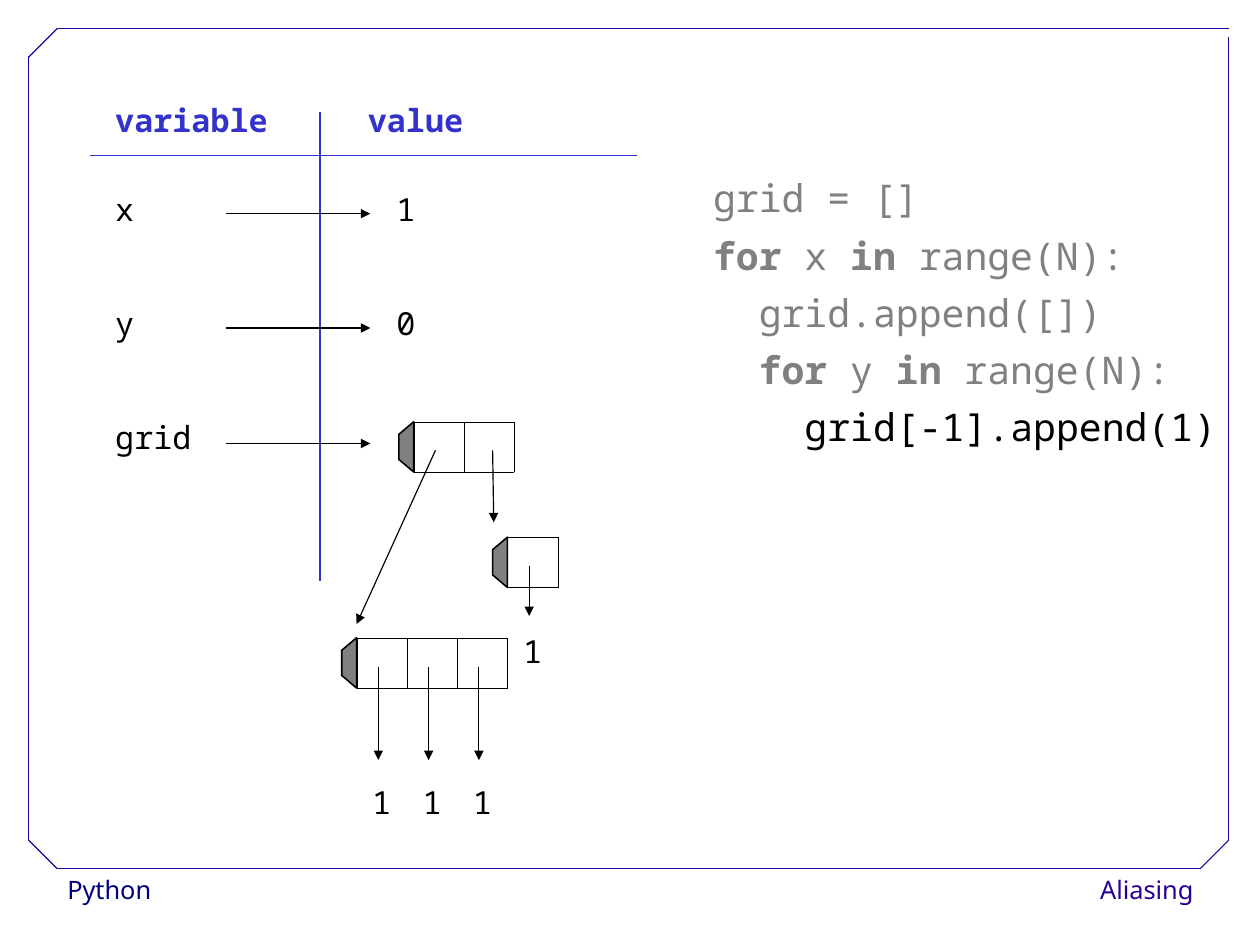
from lxml import etree
from pptx import Presentation
from pptx.dml.color import RGBColor
from pptx.enum.shapes import MSO_CONNECTOR
from pptx.enum.text import MSO_ANCHOR, PP_ALIGN
from pptx.oxml.ns import qn
from pptx.util import Cm, Inches, Pt

BLACK = RGBColor(0x00, 0x00, 0x00)
GRAY = RGBColor(0x80, 0x80, 0x80)
NAVY = RGBColor(0x00, 0x00, 0x80)
INDIGO = RGBColor(0x28, 0x00, 0x99)
BLUE = RGBColor(0x33, 0x33, 0xCC)

CELL = 0.44
TAB = 0.13


class Diagram:
    sans = "Noto Sans"
    mono = "Noto Sans Mono"

    def __init__(self, slide):
        self.s = slide

    def add_run(self, p, text, size, color, bold=False, font=mono):
        r = p.add_run()
        r.text = text
        r.font.name = font
        r.font.size = Pt(size)
        r.font.bold = bold
        r.font.color.rgb = color

    def text(self, left, top, width, height, lines, size=20, font=mono,
             leading=1.2, gap=0, align=PP_ALIGN.LEFT):
        sp = self.s.shapes.add_textbox(
            Inches(left), Inches(top), Inches(width), Inches(height))
        tf = sp.text_frame
        tf.word_wrap = True
        for i, runs in enumerate(lines):
            p = tf.paragraphs[0] if i == 0 else tf.add_paragraph()
            p.alignment = align
            p.line_spacing = Pt(size * leading)
            if i and gap:
                p.space_before = Pt(gap)
            for text, color, bold in runs:
                self.add_run(p, text, size, color, bold, font)

    def line(self, x1, y1, x2, y2, color=BLACK, arrow=False):
        cx = self.s.shapes.add_connector(
            MSO_CONNECTOR.STRAIGHT,
            Inches(x1), Inches(y1), Inches(x2), Inches(y2))
        cx.line.color.rgb = color
        cx.line.width = Pt(0.75)
        if arrow:
            etree.SubElement(cx.line._get_or_add_ln(), qn("a:tailEnd"),
                             type="triangle")
        etree.SubElement(cx._element.spPr, qn("a:effectLst"))

    def arrow(self, x1, y1, x2, y2):
        self.line(x1, y1, x2, y2, arrow=True)

    def border(self, cell, visible):
        tcPr = cell._tc.get_or_add_tcPr()
        for side in ("a:lnL", "a:lnR", "a:lnT", "a:lnB"):
            ln = etree.SubElement(tcPr, qn(side), w=str(Pt(0.06)))
            if visible:
                fill = etree.SubElement(ln, qn("a:solidFill"))
                etree.SubElement(fill, qn("a:srgbClr"), val=str(BLACK))
            else:
                etree.SubElement(ln, qn("a:noFill"))

    def table(self, left, top, values, bordered):
        n = len(values)
        frame = self.s.shapes.add_table(
            1, n, Inches(left), Inches(top), Inches(n * CELL), Inches(CELL))
        tbl = frame.table
        tbl.first_row = False
        tbl.horz_banding = False
        for col, value in enumerate(values):
            tbl.columns[col].width = Inches(CELL)
            cell = tbl.cell(0, col)
            cell.margin_left = cell.margin_right = 0
            cell.margin_top = Inches(0.08)
            cell.margin_bottom = 0
            cell.vertical_anchor = MSO_ANCHOR.MIDDLE
            self.border(cell, bordered)
            cell.fill.background()
            if value:
                p = cell.text_frame.paragraphs[0]
                p.alignment = PP_ALIGN.CENTER
                p.line_spacing = Pt(24)
                self.add_run(p, value, 20, BLACK)

    def list_box(self, left, top, count):
        self.table(left, top, [""] * count, True)
        fb = self.s.shapes.build_freeform(
            Inches(left), Inches(top + CELL))
        fb.add_line_segments([
            (Inches(left), Inches(top)),
            (Inches(left - TAB), Inches(top + CELL / 4)),
            (Inches(left - TAB), Inches(top + CELL * 3 / 4))])
        sp = fb.convert_to_shape()
        sp.shadow.inherit = False
        sp.fill.solid()
        sp.fill.fore_color.rgb = GRAY
        sp.line.color.rgb = BLACK
        sp.line.width = Pt(1)


def plain(text, color=BLACK, bold=False):
    return [(text, color, bold)]


def loop(indent, name):
    head = plain(indent, GRAY) if indent else []
    return head + [("for", GRAY, True), (f" {name} ", GRAY, False),
                   ("in", GRAY, True), (" range(N):", GRAY, False)]


def main():
    prs = Presentation()
    prs.slide_width = Cm(28)
    prs.slide_height = Cm(21)
    d = Diagram(prs.slides.add_slide(prs.slide_layouts[6]))

    d.text(0.49, 7.6, 2.15, 0.4, [plain("Python", NAVY)], 16, d.sans)
    d.text(9.14, 7.6, 1.4, 0.4, [plain("Aliasing", INDIGO)], 16, d.sans,
           align=PP_ALIGN.RIGHT)
    for ends in ((0.5, 7.6, 10.5, 7.6), (0.25, 7.35, 0.25, 0.49),
                 (0.5, 0.25, 10.75, 0.25), (10.75, 7.35, 10.75, 0.32),
                 (0.25, 0.5, 0.5, 0.25), (10.5, 7.6, 10.75, 7.35),
                 (0.25, 7.35, 0.5, 7.6)):
        d.line(*ends, INDIGO)

    d.line(0.79, 1.36, 5.57, 1.36, BLUE)
    d.line(2.8, 0.98, 2.8, 5.08, BLUE)
    for left, heading in ((0.91, "variable"), (3.12, "value")):
        d.text(left, 0.83, 1.76, 0.5, [plain(heading, BLUE, True)])

    d.text(6.14, 1.38, 4.8, 3.26, [
        plain("grid = []", GRAY),
        loop("", "x"),
        plain("  grid.append([])", GRAY),
        loop("  ", "y"),
        plain("    grid[-1].append(1)")], 24, leading=1.5)

    d.text(0.91, 1.61, 1.76, 3.46,
           [plain(name) for name in ("x", "y", "grid")], gap=48)
    d.text(3.37, 1.61, 1.76, 1.51,
           [plain(value) for value in ("1", "0")], gap=48)
    for y in (1.87, 2.87, 3.88):
        d.arrow(1.98, y, 3.24, y)

    d.list_box(3.62, 3.69, 2)
    d.list_box(3.12, 5.58, 3)
    d.list_box(4.44, 4.7, 1)
    d.table(3.12, 6.78, ["1", "1", "1"], False)
    d.table(4.44, 5.46, ["1", "", ""], False)

    d.arrow(3.81, 3.94, 3.12, 5.46)
    d.arrow(4.31, 3.94, 4.32, 4.57)
    d.arrow(4.63, 4.95, 4.63, 5.39)
    for col in range(3):
        x = 3.31 + col * CELL
        d.arrow(x, 5.84, x, 6.65)

    prs.save("out.pptx")


if __name__ == "__main__":
    main()
